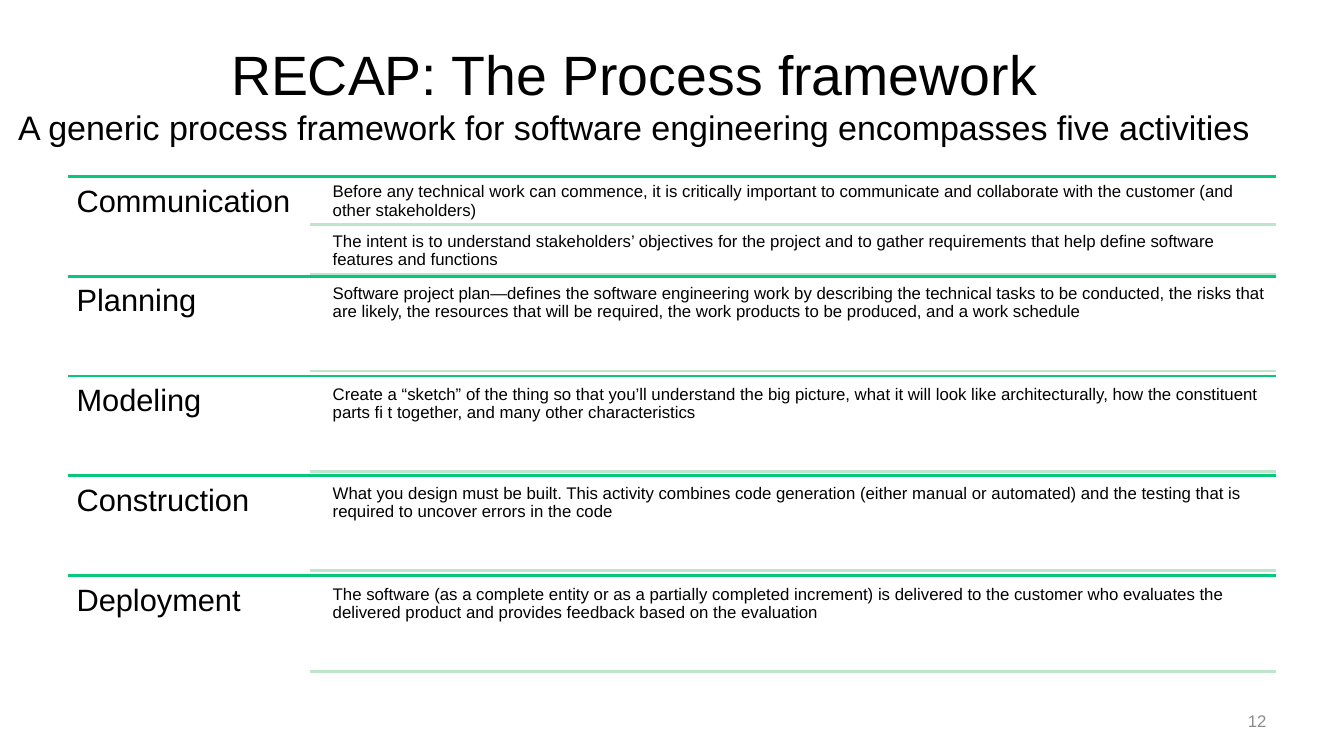
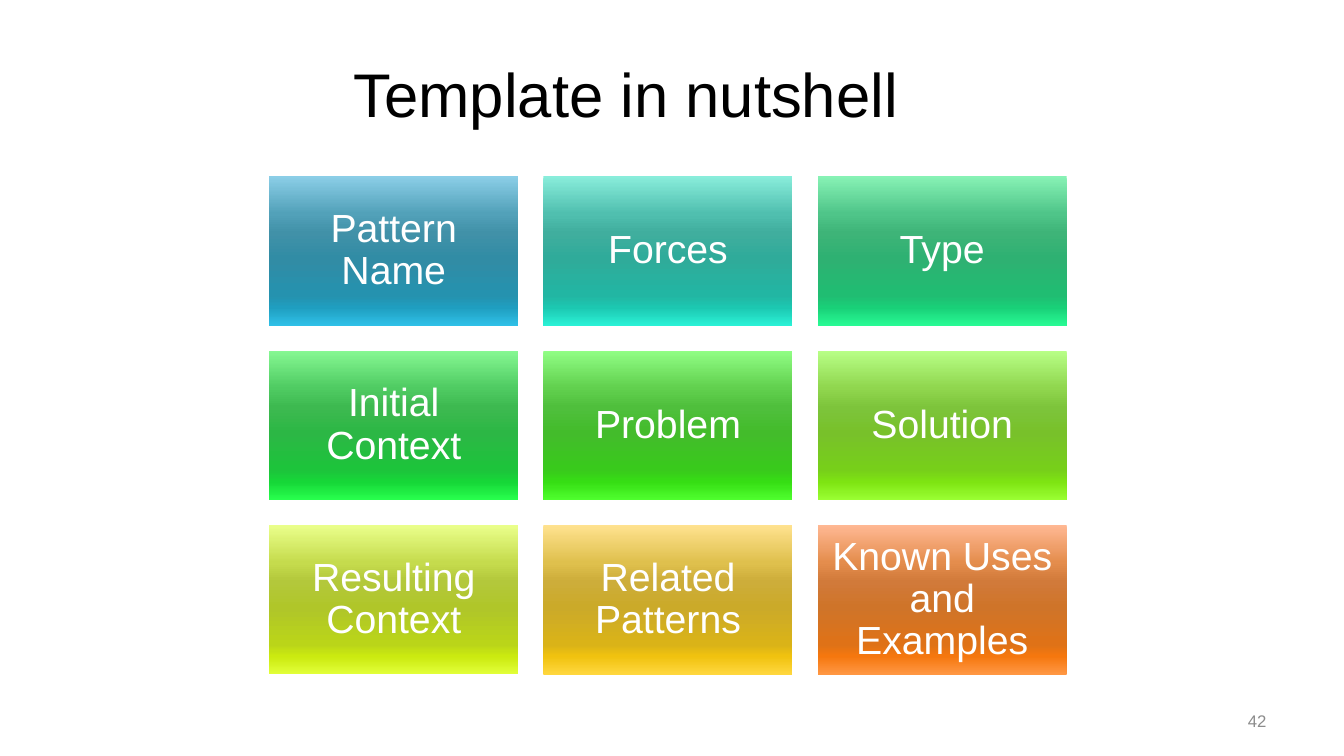
from lxml.etree import SubElement
from pptx import Presentation
from pptx.dml.color import RGBColor
from pptx.enum.shapes import MSO_CONNECTOR, MSO_SHAPE
from pptx.enum.text import MSO_ANCHOR as Anchor, PP_ALIGN as Align
from pptx.oxml.ns import qn
from pptx.util import Pt

PX = 9144  # 100 px to the inch
FONT = "Arial"
BLACK = RGBColor(0x00, 0x00, 0x00)
WHITE = RGBColor(0xFF, 0xFF, 0xFF)
GRAY = RGBColor(0x8C, 0x8C, 0x8C)
GREEN = RGBColor(0x09, 0xC7, 0x7A)
PALE_GREEN = RGBColor(0xBD, 0xE5, 0xCB)

ACTIVITIES = {
    "Communication": [
        "Before any technical work can commence, it is critically important to communicate "
        "and collaborate with the customer (and other stakeholders)",
        "The intent is to understand stakeholders’ objectives for the project and to gather "
        "requirements that help define software features and functions",
    ],
    "Planning": [
        "Software project plan—defines the software engineering work by describing the "
        "technical tasks to be conducted, the risks that are likely, the resources that will "
        "be required, the work products to be produced, and a work schedule",
    ],
    "Modeling": [
        "Create a “sketch” of the thing so that you’ll understand the big picture, what it "
        "will look like architecturally, how the constituent parts fi t together, and many "
        "other characteristics",
    ],
    "Construction": [
        "What you design must be built. This activity combines code generation (either manual "
        "or automated) and the testing that is required to uncover errors in the code",
    ],
    "Deployment": [
        "The software (as a complete entity or as a partially completed increment) is "
        "delivered to the customer who evaluates the delivered product and provides feedback "
        "based on the evaluation",
    ],
}

GRADIENT_STOPS = (0, 25, 38, 55, 80, 88, 100)
TEMPLATE_PARTS = {
    "Pattern Name": "8BCEE7 52A1B9 4191A8 318CA5 2592AF 1F9EC0 2FC0E7",
    "Forces": "89EDDB 50BFAF 40AE9E 2FAB9A 22B6A3 1CC8B1 2BF1D6",
    "Type": "87F2B5 4FC589 3EB478 2EB172 20BD72 19D078 28FA94",
    "Initial Context": "86F893 4FCB62 3DB950 2CB745 1DC43B 16D738 28FF4D",
    "Problem": "91FE85 61D04E 4FBF3C 43BC2B 39CA1C 36DE14 4FFF2E",
    "Solution": "B8FF87 90D64E 7DC43B 78C12A 77CF1A 7EE412 9AFF33",
    "Resulting Context": "EAFF8B C5DB4D B3C83B B0C629 BAD519 CBEA10 E2FF39",
    "Related Patterns": "FFE28F DFC04D CDAD3A CBAA29 DAB318 F0C20F FFD73E",
    "Known Uses and Examples": "FFB893 E48D4D D17A3A CF7429 DF7217 F5770E FF9743",
}


class Deck:
    def __init__(self, width, height):
        self.prs = Presentation()
        self.prs.slide_width, self.prs.slide_height = width * PX, height * PX
        self.slide = None

    def new_slide(self, number):
        self.slide = self.prs.slides.add_slide(self.prs.slide_layouts[6])
        self.text((955, 695, 311, 40), [(str(number), 12)], GRAY, Align.RIGHT, Anchor.MIDDLE)

    def set_text(self, shape, lines, color, align, anchor, inset, spacing):
        """Fill a shape with one paragraph of (text, size) lines."""
        frame = shape.text_frame
        settings = {"word_wrap": True, "vertical_anchor": anchor}
        if inset is not None:
            for side in ("left", "top", "right", "bottom"):
                settings[f"margin_{side}"] = inset * PX
        for name, value in settings.items():
            setattr(frame, name, value)
        paragraph = frame.paragraphs[0]
        paragraph.alignment, paragraph.line_spacing = align, spacing
        for index, (words, size) in enumerate(lines):
            if index:
                paragraph.add_line_break()
            run = paragraph.add_run()
            run.text = words
            run.font.name, run.font.size = FONT, Pt(size)
            run.font.color.rgb = color

    def text(self, box, lines, color=BLACK, align=Align.LEFT, anchor=Anchor.TOP,
             inset=None, spacing=1.0):
        shape = self.slide.shapes.add_textbox(*(n * PX for n in box))
        self.set_text(shape, lines, color, align, anchor, inset, spacing)

    def title(self, left, width, *lines):
        self.text((left, 30, width, 125), lines, align=Align.CENTER, anchor=Anchor.MIDDLE)

    def rule(self, left, right, y, color):
        line = self.slide.shapes.add_connector(
            MSO_CONNECTOR.STRAIGHT, left * PX, y * PX, right * PX, y * PX)
        line.line.color.rgb, line.line.width = color, Pt(2)
        SubElement(line._element.spPr, qn("a:effectLst"))

    def tile(self, box, label, colors):
        shape = self.slide.shapes.add_shape(MSO_SHAPE.RECTANGLE, *(n * PX for n in box))
        shape.shadow.inherit = False
        shape.line.fill.background()
        shape.fill.gradient()
        shape.fill.gradient_angle = 270
        stops = shape._element.spPr.find(qn("a:gradFill")).find(qn("a:gsLst"))
        for old in list(stops):
            stops.remove(old)
        for percent, color in zip(GRADIENT_STOPS, colors):
            stop = SubElement(stops, qn("a:gs"), pos=str(percent * 1000))
            SubElement(stop, qn("a:srgbClr"), val=str(color))
        self.set_text(shape, [(label, 28)], WHITE, Align.CENTER, Anchor.MIDDLE, 12, 0.9)


def process_framework(deck):
    deck.new_slide(12)
    deck.title(
        8, 1242, ("RECAP: The Process framework", 39.6),
        ("A generic process framework for software engineering encompasses five activities", 24.3))
    left, right, top, row_height, name_width = 67, 1266, 175, 99, 240
    for row, (activity, details) in enumerate(ACTIVITIES.items()):
        y = top + row * row_height
        deck.rule(left, right, y, GREEN)
        deck.text((left, y, name_width, row_height), [(activity, 22)], inset=9, spacing=0.9)
        # Each detail is 20 gaps high, with a gap around every one
        gap = row_height / (21 * len(details) + 1)
        height = round(20 * gap)
        for index, detail in enumerate(details):
            detail_top = round(y + gap + index * 21 * gap)
            deck.text((325, detail_top, 942, height), [(detail, 12)], inset=5, spacing=0.9)
            deck.rule(left + name_width, right, detail_top + height, PALE_GREEN)


def template_overview(deck):
    deck.new_slide(42)
    deck.title(67, 1108, ("Template in nutshell", 44))
    left, top, width, height, gap = 267, 175, 247, 148, 25
    for index, (part, shades) in enumerate(TEMPLATE_PARTS.items()):
        row, column = divmod(index, 3)
        box = (left + column * (width + gap), top + row * (height + gap), width, height)
        deck.tile(box, part, [RGBColor.from_string(shade) for shade in shades.split()])


def main():
    deck = Deck(1333, 750)
    process_framework(deck)
    template_overview(deck)
    deck.prs.save("out.pptx")


if __name__ == "__main__":
    main()
